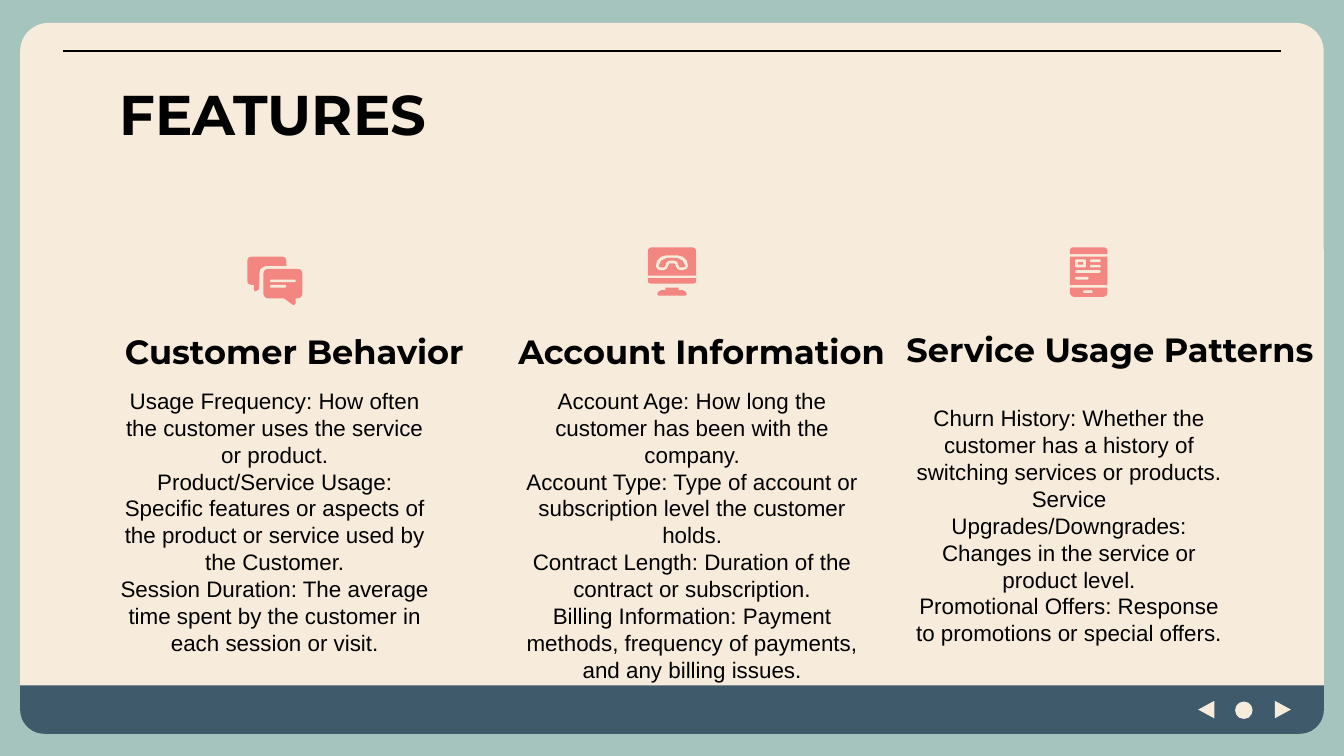
from lxml.etree import SubElement
from pptx import Presentation
from pptx.dml.color import RGBColor
from pptx.enum.shapes import MSO_CONNECTOR, MSO_SHAPE
from pptx.enum.text import MSO_ANCHOR, MSO_AUTO_SIZE, PP_ALIGN
from pptx.oxml.ns import qn
from pptx.util import Inches, Pt

SLIDE_WIDTH = Inches(10)
SLIDE_HEIGHT = SLIDE_WIDTH * 9 // 16
COLUMNS = 1000
CELL = SLIDE_WIDTH // COLUMNS

SAGE, CREAM, NAVY, CORAL, BLACK = "A5C4BE", "F7ECDC", "3F5A6B", "F38681", "000000"
BOX = MSO_SHAPE.RECTANGLE
ROUND = MSO_SHAPE.ROUNDED_RECTANGLE
TOP_ROUND = MSO_SHAPE.ROUND_2_SAME_RECTANGLE
DOT = MSO_SHAPE.OVAL
ARROW = MSO_SHAPE.ISOSCELES_TRIANGLE

TITLE = ("FEATURES", (79, 49, 843, 63))
FEATURES = [
    {
        "heading": ("Customer Behavior", (78, 236, 282, 50)),
        "area": (78, 278, 253, 225),
        "details": [
            "Usage Frequency: How often the customer uses the service or product.",
            "Product/Service Usage: Specific features or aspects of the product or service used by the Customer.",
            "Session Duration: The average time spent by the customer in each session or visit.",
        ],
    },
    {
        "heading": ("Account Information", (374, 236, 296, 50)),
        "area": (374, 278, 282, 225),
        "details": [
            "Account Age: How long the customer has been with the company.",
            "Account Type: Type of account or subscription level the customer holds.",
            "Contract Length: Duration of the contract or subscription.",
            "Billing Information: Payment methods, frequency of payments, and any billing issues.",
        ],
    },
    {
        "heading": ("Service Usage Patterns", (656, 235, 340, 50)),
        "area": (669, 291, 253, 190),
        "details": [
            "Churn History: Whether the customer has a history of switching services or products.",
            "Service Upgrades/Downgrades: Changes in the service or product level.",
            "Promotional Offers: Response to promotions or special offers.",
        ],
    },
]

FRAME = [
    (ROUND, (15, 17, 970, 529), CREAM, 0, [0.04]),
    (TOP_ROUND, (15, 510, 970, 36), NAVY, 180, [0.5, 0]),
    (DOT, (919, 522, 13, 13), CREAM, 0, []),
    (ARROW, (948, 522, 13, 12), CREAM, 90, []),
    (ARROW, (891, 522, 13, 12), CREAM, 270, []),
]
RULE = (47, 38, 953, 38)

CHAT_ICON = [
    (ROUND, (184, 191, 29, 21), CORAL, 0, [0.14]),
    ([(189, 211), (189, 216), (190, 217), (193, 215), (193, 211)], CORAL),
    (ROUND, (193, 198, 35, 27), CREAM, 0, [0.2]),
    (ROUND, (196, 200, 29, 22), CORAL, 0, [0.16]),
    ([(210, 221), (218, 227), (219, 227), (220, 226), (220, 221)], CORAL),
    (ROUND, (201, 208, 19, 2), CREAM, 0, [0.5]),
    (ROUND, (201, 212, 12, 2), CREAM, 0, [0.5]),
]
MONITOR_ICON = [
    (TOP_ROUND, (482, 184, 36, 21), CORAL, 0, [0.14, 0]),
    (TOP_ROUND, (482, 207, 36, 4), CORAL, 180, [0.5, 0]),
    ([(495, 214), (495, 216), (492, 216), (490, 217), (489, 219), (490, 220),
      (510, 220), (511, 219), (510, 217), (508, 216), (505, 216), (505, 214)], CORAL),
    ([(488, 198), (489, 194), (492, 191), (496, 190), (504, 190), (508, 191),
      (511, 194), (512, 198), (511, 200), (508, 201), (506, 201), (504, 200),
      (503, 198), (502, 196), (498, 196), (497, 198), (496, 200), (494, 201),
      (491, 201), (489, 200)], CREAM),
    ([(490, 198), (492, 194), (496, 192), (504, 192), (508, 194), (510, 198),
      (509, 199), (506, 199), (505, 198), (504, 195), (502, 194), (498, 194),
      (496, 195), (495, 198), (494, 199), (491, 199)], CORAL),
]
PHONE_ICON = [
    (TOP_ROUND, (796, 184, 28, 5), CORAL, 0, [0.5, 0]),
    (BOX, (796, 191, 28, 21), CORAL, 0, []),
    (TOP_ROUND, (796, 214, 28, 7), CORAL, 180, [0.5, 0]),
    (ROUND, (800, 193, 8, 6), CREAM, 0, [0.17]),
    (BOX, (802, 195, 4, 2), CORAL, 0, []),
    (ROUND, (811, 193, 8, 2), CREAM, 0, [0.5]),
    (ROUND, (811, 197, 8, 2), CREAM, 0, [0.5]),
    (ROUND, (800, 201, 19, 2), CREAM, 0, [0.5]),
    (ROUND, (800, 206, 10, 2), CREAM, 0, [0.5]),
    (ROUND, (806, 216, 7, 2), CREAM, 0, [0.5]),
]

TITLE_FONT = {"name": "Montserrat", "size": Pt(30), "bold": True}
HEADING_FONT = {"name": "Montserrat", "size": Pt(18), "bold": True}
DETAIL_FONT = {"name": "Arial", "size": Pt(12), "bold": False}
FRAME_FORMAT = {
    "word_wrap": True,
    "auto_size": MSO_AUTO_SIZE.NONE,
    **dict.fromkeys(
        ["margin_left", "margin_right", "margin_top", "margin_bottom"], Inches(0.1)
    ),
}


def colour(hex_code):
    return RGBColor.from_string(hex_code)


def on_grid(cells):
    return [CELL * count for count in cells]


def apply(target, values):
    for attribute, value in values.items():
        setattr(target, attribute, value)


def paint(part, hex_code):
    part.fill.solid()
    part.fill.fore_color.rgb = colour(hex_code)
    part.line.fill.background()
    part.shadow.inherit = False


def draw_preset(slide, preset, area, hex_code, rotation, adjustments):
    part = slide.shapes.add_shape(preset, *on_grid(area))
    part.rotation = rotation
    for index, amount in enumerate(adjustments):
        part.adjustments[index] = amount
    paint(part, hex_code)


def draw_outline(slide, points, hex_code):
    builder = slide.shapes.build_freeform(*points[0], scale=CELL)
    builder.add_line_segments(points[1:], close=True)
    paint(builder.convert_to_shape(), hex_code)


def draw_rule(slide):
    rule = slide.shapes.add_connector(MSO_CONNECTOR.STRAIGHT, *on_grid(RULE))
    rule.line.color.rgb = colour(BLACK)
    rule.line.width = Pt(1.5)
    SubElement(rule.element.spPr, qn("a:effectLst"))


def write(holder, lines, area, font, alignment, anchor):
    apply(holder, dict(zip(["left", "top", "width", "height"], on_grid(area))))
    frame = holder.text_frame
    apply(frame, {**FRAME_FORMAT, "vertical_anchor": anchor})
    frame.text = "\n".join(lines)
    for paragraph in frame.paragraphs:
        apply(paragraph, {"alignment": alignment, "line_spacing": 1.0})
        for run in paragraph.runs:
            apply(run.font, font)
            run.font.color.rgb = colour(BLACK)


def add_text(slide, lines, area, font, anchor):
    holder = slide.shapes.add_textbox(*on_grid(area))
    write(holder, lines, area, font, PP_ALIGN.CENTER, anchor)


def main():
    deck = Presentation()
    apply(deck, {"slide_width": SLIDE_WIDTH, "slide_height": SLIDE_HEIGHT})
    slide = deck.slides.add_slide(deck.slide_layouts[5])
    slide.background.fill.solid()
    slide.background.fill.fore_color.rgb = colour(SAGE)

    for piece in FRAME:
        draw_preset(slide, *piece)
    draw_rule(slide)

    title = slide.shapes.title
    title.element.getparent().append(title.element)
    heading, area = TITLE
    write(title, [heading], area, TITLE_FONT, PP_ALIGN.LEFT, MSO_ANCHOR.TOP)

    for feature in FEATURES:
        heading, area = feature["heading"]
        add_text(slide, [heading], area, HEADING_FONT, MSO_ANCHOR.BOTTOM)
        add_text(slide, feature["details"], feature["area"], DETAIL_FONT, MSO_ANCHOR.TOP)

    for piece in CHAT_ICON + MONITOR_ICON + PHONE_ICON:
        draw = draw_outline if isinstance(piece[0], list) else draw_preset
        draw(slide, *piece)

    deck.save("out.pptx")


if __name__ == "__main__":
    main()
